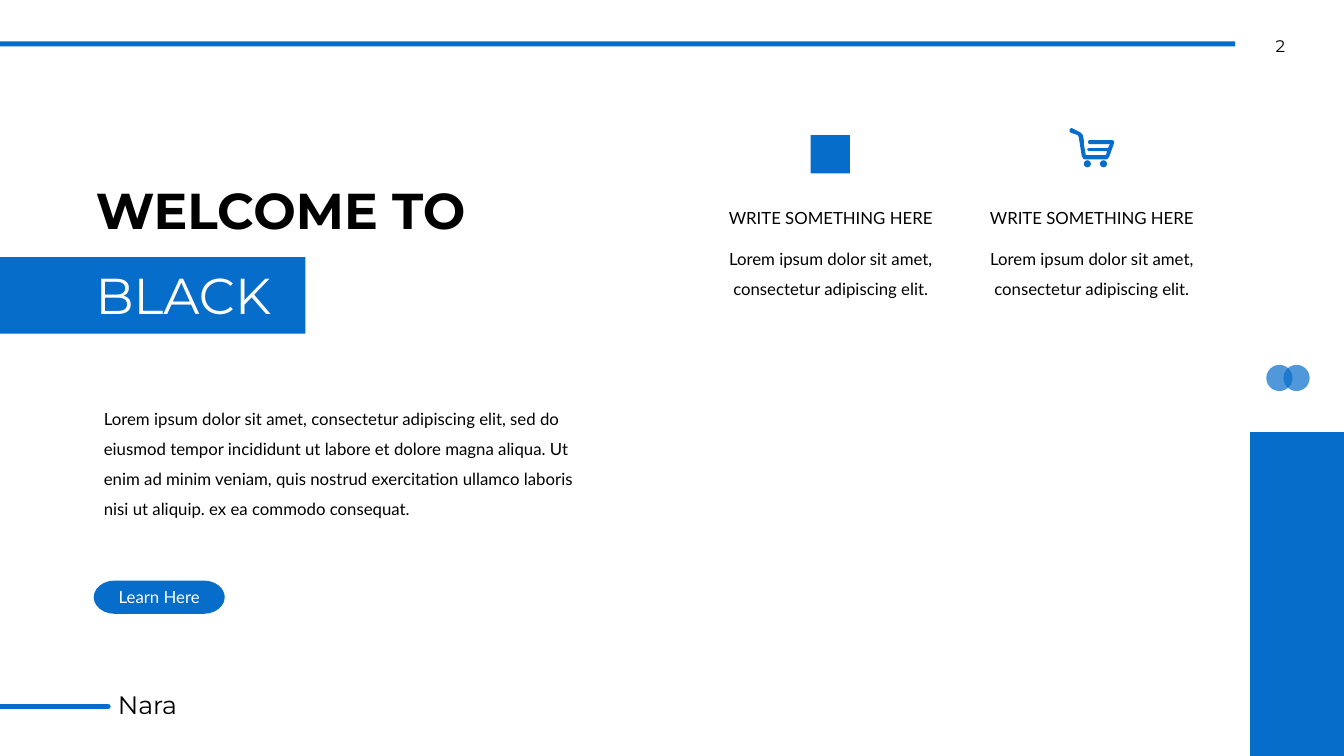
"""Build the blue welcome slide with its two feature columns."""
from dataclasses import dataclass
from typing import Any, Optional

import lxml.etree
import pptx
import pptx.dml.color
import pptx.enum.shapes
import pptx.enum.text
import pptx.oxml.ns
import pptx.util

Inches = pptx.util.Inches
Pt = pptx.util.Pt
qn = pptx.oxml.ns.qn
MSO = pptx.enum.shapes.MSO_SHAPE
ALIGN = pptx.enum.text.PP_ALIGN
ANCHOR = pptx.enum.text.MSO_ANCHOR
FIT = pptx.enum.text.MSO_AUTO_SIZE
Box = tuple[float, float, float, float]


@dataclass(frozen=True)
class Theme:
    blue: str = "066DCA"
    black: str = "000000"
    white: str = "FFFFFF"
    heading: str = "Montserrat"
    body: str = "Lato"
    title_size: int = 36
    brand_size: int = 18
    text_size: int = 12


THEME = Theme()


@dataclass(frozen=True)
class Label:
    box: Box
    text: str
    font: str = THEME.body
    size: int = THEME.text_size
    color: str = THEME.black
    bold: bool = False
    align: Any = ALIGN.LEFT
    spacing: float = 1.0
    inset: float = 0.05
    anchor: Any = ANCHOR.TOP
    fit: Any = FIT.SHAPE_TO_FIT_TEXT


@dataclass(frozen=True)
class Block:
    kind: Any
    box: Box
    alpha: Optional[int] = None


TITLE = Label((0.85, 1.73, 4.62, 0.71), "WELCOME TO", THEME.heading, THEME.title_size, bold=True)
INTRO = Label(
    (0.93, 3.9, 5.08, 1.27),
    "Lorem ipsum dolor sit amet, consectetur adipiscing elit, sed do eiusmod tempor "
    "incididunt ut labore et dolore magna aliqua. Ut enim ad minim veniam, quis nostrud "
    "exercitation ullamco laboris nisi ut aliquip. ex ea commodo consequat.",
    spacing=1.5,
)
BUTTON = Label((0.93, 5.76, 1.3, 0.33), "Learn Here", color=THEME.white,
               align=ALIGN.CENTER, anchor=ANCHOR.MIDDLE, fit=FIT.NONE)
LABELS = [
    Label((12.36, 0.35, 0.68, 0.2), "2", THEME.heading, align=ALIGN.CENTER, inset=0),
    Label((1.07, 6.79, 1.67, 0.4), "Nara", THEME.heading, THEME.brand_size),
    Label((0.85, 2.57, 4.62, 0.71), "BLACK", THEME.heading, THEME.title_size, THEME.white),
]
BLOCKS = [
    Block(MSO.OVAL, (12.56, 3.62, 0.26, 0.26), 70),
    Block(MSO.OVAL, (12.73, 3.62, 0.26, 0.26), 70),
    Block(MSO.RECTANGLE, (0, 0.41, 12.25, 0.05)),
    Block(MSO.FLOWCHART_PROCESS, (12.4, 4.29, 0.93, 3.21)),
    Block(MSO.RECTANGLE, (0, 2.55, 3.03, 0.76)),
    Block(MSO.RECTANGLE, (8.04, 1.34, 0.39, 0.38)),
    Block(MSO.OVAL, (10.75, 1.59, 0.07, 0.07)),
    Block(MSO.OVAL, (10.91, 1.59, 0.07, 0.07)),
]
COLUMN_LEFTS = (7.07, 9.66)
CART = [
    (11.03, 1.39), (10.8, 1.39), (10.79, 1.41), (10.8, 1.43), (11.01, 1.43), (10.99, 1.47),
    (10.8, 1.47), (10.78, 1.48), (10.8, 1.5), (10.98, 1.5), (10.97, 1.54), (10.77, 1.54),
    (10.75, 1.43), (10.75, 1.39), (10.74, 1.34), (10.71, 1.31), (10.63, 1.27), (10.61, 1.28),
    (10.61, 1.31), (10.63, 1.32), (10.69, 1.34), (10.7, 1.36), (10.73, 1.55), (10.75, 1.58),
    (10.98, 1.58), (11.0, 1.56), (11.05, 1.42), (11.05, 1.4),
]


def rgb(color: str) -> pptx.dml.color.RGBColor:
    """Turn a hex string into a colour."""
    return pptx.dml.color.RGBColor.from_string(color)


def apply(target: Any, values: dict[str, Any]) -> None:
    """Set each format value on the target."""
    for name, value in values.items():
        setattr(target, name, value)


def place(sp: Any, box: Box) -> None:
    """Move and size a shape."""
    apply(sp, dict(zip(("left", "top", "width", "height"), map(Inches, box))))


def write(sp: Any, label: Label) -> None:
    """Fill a shape with the label's formatted text."""
    tf = sp.text_frame
    tf.text = label.text
    apply(tf, {"word_wrap": True, "auto_size": label.fit, "vertical_anchor": label.anchor,
               "margin_left": Inches(0.1), "margin_right": Inches(0.1),
               "margin_top": Inches(label.inset), "margin_bottom": Inches(label.inset)})
    p = tf.paragraphs[0]
    apply(p, {"alignment": label.align, "line_spacing": label.spacing, "space_before": Pt(0)})
    font = p.runs[0].font
    apply(font, {"name": label.font, "size": Pt(label.size), "bold": label.bold})
    font.color.rgb = rgb(label.color)


def add_label(slide: Any, label: Label) -> None:
    """Add a text box."""
    write(slide.shapes.add_textbox(*map(Inches, label.box)), label)


def paint(sp: Any, alpha: Optional[int] = None) -> None:
    """Give a shape the flat blue fill."""
    sp.shadow.inherit = False
    sp.fill.solid()
    sp.fill.fore_color.rgb = rgb(THEME.blue)
    sp.line.fill.background()
    if alpha is not None:
        color = sp.element.spPr.find(qn("a:solidFill"))[0]
        lxml.etree.SubElement(color, qn("a:alpha")).set("val", str(alpha * 1000))


def add_block(slide: Any, block: Block) -> Any:
    """Add a flat blue preset shape."""
    sp = slide.shapes.add_shape(block.kind, *map(Inches, block.box))
    paint(sp, block.alpha)
    return sp


def add_cart(slide: Any) -> None:
    """Draw the body of the shopping cart."""
    points = [(Inches(x), Inches(y)) for x, y in CART]
    builder = slide.shapes.build_freeform(*points[0])
    builder.add_line_segments(points[1:], close=True)
    paint(builder.convert_to_shape())


def add_footer_line(slide: Any) -> None:
    """Draw the round-ended line before the footer name."""
    line = slide.shapes.add_connector(pptx.enum.shapes.MSO_CONNECTOR.STRAIGHT,
                                      Inches(0), Inches(7.01), Inches(1.07), Inches(7.01))
    line.line.color.rgb = rgb(THEME.blue)
    line.line.width = Pt(4)
    props = line.element.spPr
    props.find(qn("a:ln")).set("cap", "rnd")
    lxml.etree.SubElement(props, qn("a:effectLst"))


def fill_placeholders(slide: Any) -> None:
    """Place the title and the unbulleted introduction."""
    for sp, label in zip(slide.placeholders, (TITLE, INTRO)):
        place(sp, label.box)
        write(sp, label)
    props = slide.placeholders[1].text_frame.paragraphs[0]._p.get_or_add_pPr()
    props.set("marL", "0")
    props.set("indent", "0")
    lxml.etree.SubElement(props, qn("a:buNone"))


def main() -> None:
    """Build and save the slide."""
    prs = pptx.Presentation()
    prs.slide_width, prs.slide_height = Inches(13.33), Inches(7.5)
    slide = prs.slides.add_slide(prs.slide_layouts[1])
    for block in BLOCKS:
        add_block(slide, block)
    add_footer_line(slide)
    add_cart(slide)
    fill_placeholders(slide)
    write(add_block(slide, Block(MSO.FLOWCHART_TERMINATOR, BUTTON.box)), BUTTON)
    for label in LABELS:
        add_label(slide, label)
    for left in COLUMN_LEFTS:
        for top, height, text in ((1.91, 0.36, "WRITE SOMETHING HERE"),
                                  (2.32, 0.67, "Lorem ipsum dolor sit amet, consectetur adipiscing elit.")):
            add_label(slide, Label((left, top, 2.34, height), text, align=ALIGN.CENTER, spacing=1.5))
    prs.save("out.pptx")


if __name__ == "__main__":
    main()
